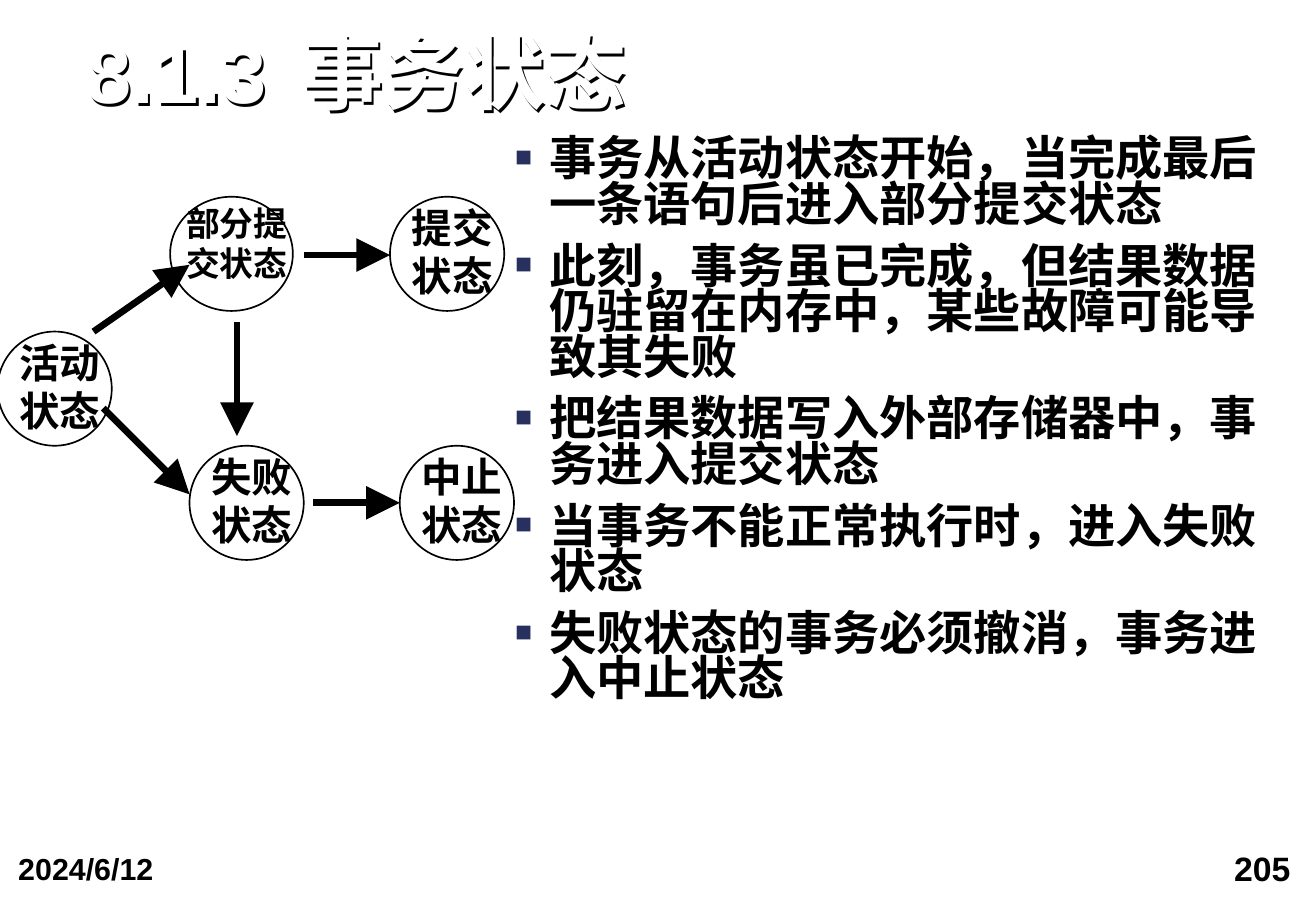
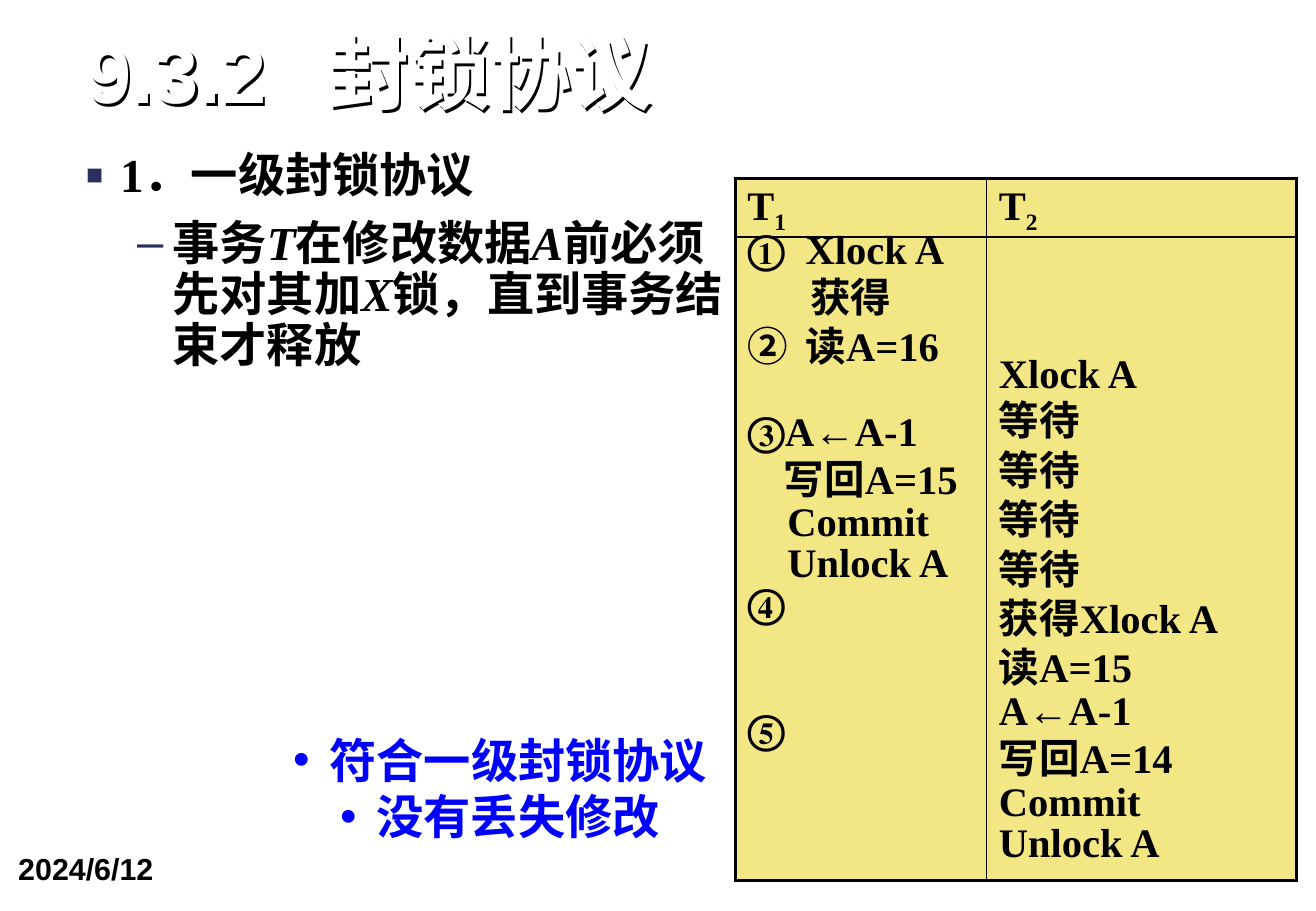
from dataclasses import dataclass
from typing import Any, NamedTuple

import pptx
import pptx.dml.color
import pptx.enum.lang
import pptx.enum.shapes
import pptx.enum.text
import pptx.oxml
import pptx.oxml.ns
import pptx.util

Inches = pptx.util.Inches
Pt = pptx.util.Pt
Align = pptx.enum.text.PP_ALIGN
Anchor = pptx.enum.text.MSO_ANCHOR
Kind = pptx.enum.shapes.MSO_SHAPE
NS = pptx.oxml.ns.nsdecls("a")


@dataclass(frozen=True)
class Theme:
    ink: str = "000000"
    paper: str = "FFFFFF"
    mark: str = "27305F"
    note: str = "0000FF"
    cell: str = "F3E685"
    sans: str = "Arial"
    serif: str = "Times New Roman"
    title: int = 48
    body: int = 28
    code: int = 24
    small: int = 20
    date: int = 18
    thin: float = 1
    thick: float = 2.25
    arrow: float = 4


T = Theme()


class Bullet(NamedTuple):
    char: str
    left: float
    hang: float
    size: int = 100
    color: str = T.mark


class State(NamedTuple):
    text: str
    left: float
    top: float
    width: float = 0.94
    size: int = T.code
    box: float = 1.02


class Arrow(NamedTuple):
    x1: float
    y1: float
    x2: float
    y2: float


class Step(NamedTuple):
    text: str
    left: float = 0
    skip: int = 0


SQUARE = Bullet("■", 0.28, 0.28, 60)
DASH = Bullet("–", 0.71, 0.29)
DOT = Bullet("•", 0.3, 0.3, color=T.note)


# Text helpers
def rgb(code: str) -> Any:
    return pptx.dml.color.RGBColor.from_string(code)


def xml(text: str) -> Any:
    return pptx.oxml.parse_xml(text)


def style(para: Any, size: int, face: str, color: str = T.ink) -> None:
    for run in para.runs:
        font = run.font
        font.size, font.name, font.bold = Pt(size), face, True
        font.color.rgb = rgb(color)
        font.language_id = pptx.enum.lang.MSO_LANGUAGE_ID.SIMPLIFIED_CHINESE


def mark(para: Any, kind: Bullet) -> None:
    props = para._p.get_or_add_pPr()
    props.set("marL", str(Inches(kind.left)))
    props.set("indent", str(-Inches(kind.hang)))
    props.append(xml(f'<a:buClr {NS}><a:srgbClr val="{kind.color}"/></a:buClr>'))
    props.append(xml(f'<a:buSzPct {NS} val="{kind.size * 1000}"/>'))
    props.append(xml(f'<a:buFont {NS} typeface="{T.sans}"/>'))
    props.append(xml(f'<a:buChar {NS} char="{kind.char}"/>'))


def tab(para: Any, stop: float) -> None:
    para._p.get_or_add_pPr().append(
        xml(f'<a:tabLst {NS}><a:tab pos="{Inches(stop)}" algn="l"/></a:tabLst>'))


def inset(frame: Any, side: float, edge: float) -> None:
    frame.margin_left = frame.margin_right = Inches(side)
    frame.margin_top = frame.margin_bottom = Inches(edge)


def textbox(shapes: Any, left: float, top: float, width: float, height: float,
            side: float = 0.1, edge: float = 0.05) -> Any:
    box = shapes.add_textbox(Inches(left), Inches(top), Inches(width), Inches(height))
    frame = box.text_frame
    frame.word_wrap = True
    inset(frame, side, edge)
    return frame


# Parts shared by the slides
def start(deck: Any, text: str, stop: float) -> Any:
    slide = deck.slides.add_slide(deck.slide_layouts[5])
    slide.background.fill.solid()
    slide.background.fill.fore_color.rgb = rgb(T.paper)
    head = slide.shapes.title
    head.left, head.top = Inches(0.71), Inches(0.28)
    head.width, head.height = Inches(9.65), Inches(0.72)
    head.fill.background()
    head.line.fill.background()
    # White letters stand out by a hard dark shadow
    head._element.spPr.append(xml(
        f'<a:effectLst {NS}><a:outerShdw blurRad="0" dist="{Pt(2)}" dir="2700000" '
        f'algn="ctr" rotWithShape="0"><a:srgbClr val="{T.ink}"/>'
        '</a:outerShdw></a:effectLst>'))
    frame = head.text_frame
    frame.text = text
    frame.auto_size = pptx.enum.text.MSO_AUTO_SIZE.NONE
    frame.vertical_anchor = Anchor.BOTTOM
    inset(frame, 0, 0)
    para = frame.paragraphs[0]
    para.alignment, para.line_spacing = Align.LEFT, 0.9
    tab(para, stop)
    style(para, T.title, T.sans, T.paper)
    footer(slide, "2024/6/12", 0.02, 6.94, 2.51, T.date, Align.LEFT)
    return slide


def footer(slide: Any, text: str, left: float, top: float, width: float,
           size: int, side: Any) -> None:
    frame = textbox(slide.shapes, left, top, width, 0.55, 0.13, 0.06)
    frame.text = text
    frame.paragraphs[0].alignment = side
    style(frame.paragraphs[0], size, T.sans)


def bullets(frame: Any, items: list[tuple[Bullet, list[str]]], line: float) -> None:
    """Fill a frame; every second run of an item is italic."""
    for row, (kind, parts) in enumerate(items):
        para = frame.add_paragraph() if row else frame.paragraphs[0]
        para.line_spacing = line
        if row:
            para.space_before = Pt(9.8)
        if kind is DASH:
            para.level = 1
        mark(para, kind)
        for part in parts:
            para.add_run().text = part
        style(para, T.body, T.serif)
        for run in para.runs[1::2]:
            run.font.italic = True


# State diagram
def draw_state(slide: Any, state: State) -> None:
    group = slide.shapes.add_group_shape()
    oval = group.shapes.add_shape(Kind.OVAL, Inches(state.left), Inches(state.top),
                                  Inches(state.width), Inches(0.94))
    oval.shadow.inherit = False
    oval.fill.background()
    oval.line.color.rgb, oval.line.width = rgb(T.ink), Pt(T.thin)
    frame = textbox(group.shapes, state.left, state.top, state.box, 0.9)
    frame.text = state.text
    frame.paragraphs[0].alignment = Align.CENTER
    style(frame.paragraphs[0], state.size, T.sans)


def draw_arrow(slide: Any, arrow: Arrow) -> None:
    ends = [Inches(num) for num in arrow]
    line = slide.shapes.add_connector(pptx.enum.shapes.MSO_CONNECTOR.STRAIGHT, *ends)
    line.line.color.rgb, line.line.width = rgb(T.ink), Pt(T.arrow)
    line.line._get_or_add_ln().append(
        xml(f'<a:tailEnd {NS} type="triangle" w="lg" len="lg"/>'))
    line._element.spPr.append(xml(f'<a:effectLst {NS}/>'))


def states(deck: Any) -> None:
    slide = start(deck, "8.1.3\t事务状态", 1.78)
    footer(slide, "205", 8.01, 6.92, 2.74, T.small, Align.RIGHT)
    for state in (
        State("活动状态", -0.02, 2.73),
        State("部分提交状态", 1.4, 1.62, 1.01, T.small, 1.1),
        State("提交状态", 3.21, 1.62),
        State("失败状态", 1.56, 3.67),
        State("中止状态", 3.29, 3.67),
    ):
        draw_state(slide, state)
    for arrow in (
        Arrow(0.77, 2.73, 1.56, 2.18),
        Arrow(0.85, 3.36, 1.56, 4.07),
        Arrow(2.5, 2.1, 3.21, 2.1),
        Arrow(2.58, 4.14, 3.29, 4.14),
        Arrow(1.95, 2.65, 1.95, 3.59),
    ):
        draw_arrow(slide, arrow)
    lines = (
        "事务从活动状态开始，当完成最后一条语句后进入部分提交状态",
        "此刻，事务虽已完成，但结果数据仍驻留在内存中，某些故障可能导致其失败",
        "把结果数据写入外部存储器中，事务进入提交状态",
        "当事务不能正常执行时，进入失败状态",
        "失败状态的事务必须撤消，事务进入中止状态",
    )
    frame = textbox(slide.shapes, 4.24, 1.15, 6.3, 4.76, 0, 0)
    bullets(frame, [(SQUARE, [line]) for line in lines], 0.8)


# Lock schedule
def paint(cell: Any, row: int, col: int) -> None:
    cell.fill.solid()
    cell.fill.fore_color.rgb = rgb(T.cell)
    outer = {"L": col == 0, "R": col == 1, "T": row == 0, "B": row == 1}
    for spot, (side, edge) in enumerate(outer.items()):
        width = Pt(T.thick if edge else T.thin)
        cell._tc.get_or_add_tcPr().insert(spot, xml(
            f'<a:ln{side} {NS} w="{width}"><a:solidFill>'
            f'<a:srgbClr val="{T.ink}"/></a:solidFill></a:ln{side}>'))


def fill_steps(cell: Any, steps: list[Step]) -> None:
    frame = cell.text_frame
    frame.text = "\n".join(step.text for step in steps)
    for row, (para, step) in enumerate(zip(frame.paragraphs, steps)):
        para.line_spacing = 0.6
        if row:
            para.space_before = Pt(8.4 + 25 * step.skip)
        para._p.get_or_add_pPr().set("marL", str(Inches(step.left)))
        if "\t" in step.text:
            tab(para, 0.48)
        style(para, T.code, T.serif)


def locks(deck: Any) -> None:
    slide = start(deck, "9.3.2\t封锁协议", 1.99)
    frame = textbox(slide.shapes, 0.71, 1.25, 5.34, 1.84, 0, 0)
    bullets(frame, [
        (SQUARE, ["1．一级封锁协议"]),
        (DASH, ["事务", "T", "在修改数据", "A", "前必须先对其加", "X",
                "锁，直到事务结束才释放"]),
    ], 0.9)

    table = slide.shapes.add_table(2, 2, Inches(6.05), Inches(1.47),
                                   Inches(4.62), Inches(5.76)).table
    for col, width in enumerate((2.07, 2.55)):
        table.columns[col].width = Inches(width)
    for row, height in enumerate((0.46, 5.3)):
        table.rows[row].height = Inches(height)
        for col in range(2):
            paint(table.cell(row, col), row, col)
    for col in range(2):
        cell = table.cell(0, col)
        cell.margin_bottom = Inches(0.02)
        para = cell.text_frame.paragraphs[0]
        para.line_spacing = 0.9
        for part in ("T", str(col + 1)):
            para.add_run().text = part
        style(para, T.code, T.serif)
        para.runs[1]._r.rPr.set("baseline", "-25000")
    fill_steps(table.cell(1, 0), [
        Step("①\tXlock A"), Step("获得", 0.52), Step("②\t读A=16"),
        Step("③A←A-1", skip=1), Step("写回A=15", 0.3), Step("Commit", 0.33),
        Step("Unlock A", 0.33), Step("④"), Step("⑤", skip=2),
    ])
    waits = ["等待"] * 4
    fill_steps(table.cell(1, 1), [Step(text) for text in (
        "Xlock A", *waits, "获得Xlock A", "读A=15", "A←A-1", "写回A=14",
        "Commit", "Unlock A")])
    table.cell(1, 1).margin_top = Inches(1.07)

    # Conclusion
    frame = textbox(slide.shapes, 2.2, 5.72, 3.83, 1.53)
    frame.vertical_anchor = Anchor.MIDDLE
    frame.text = "符合一级封锁协议\n没有丢失修改"
    for para in frame.paragraphs:
        para.alignment = Align.CENTER
        mark(para, DOT)
        style(para, T.body, T.serif, T.note)


def main() -> None:
    deck = pptx.Presentation()
    deck.slide_width, deck.slide_height = Inches(10.83), Inches(7.5)
    states(deck)
    locks(deck)
    deck.save("out.pptx")


if __name__ == "__main__":
    main()
